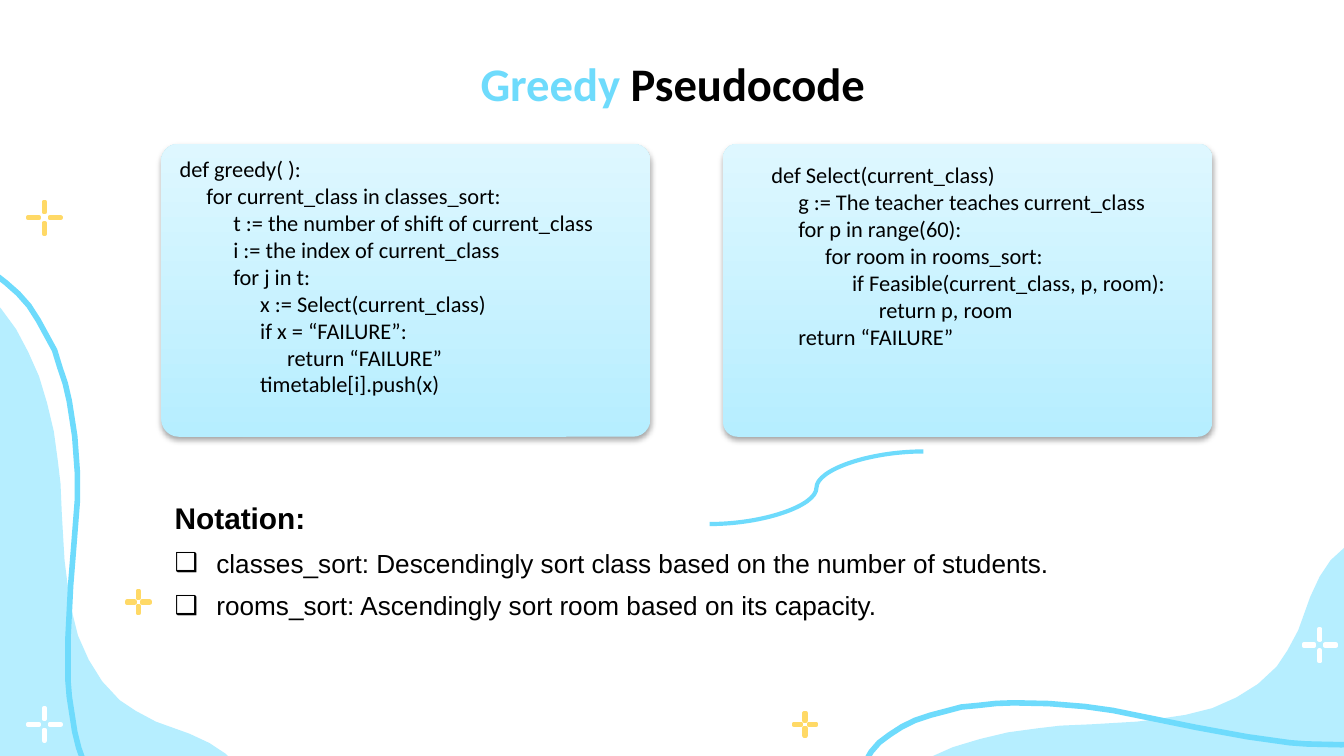
import pptx
import pptx.dml.color
import pptx.enum.dml
import pptx.enum.shapes
import pptx.enum.text
import pptx.oxml
import pptx.oxml.ns
import pptx.util
from lxml import etree

Inches = pptx.util.Inches
Pt = pptx.util.Pt
qn = pptx.oxml.ns.qn
SHAPES = pptx.enum.shapes.MSO_SHAPE

COLORS = {
    "black": "000000",
    "white": "FFFFFF",
    "sky": "6EDBFC",
    "pale": "B6EEFF",
    "mist": "DEF7FF",
    "gold": "FFD966",
}

BLOB_SIZE = (6.5, 3.36)
BLOB_POINTS = [
    (5.4, 0), (5.74, 0.02), (6.06, 0.07), (6.22, 0.11), (6.32, 0.15), (6.41, 0.21),
    (6.47, 0.28), (6.5, 0.36), (6.5, 0.47), (6.48, 0.64), (6.47, 0.84), (6.44, 1.1),
    (6.41, 1.29), (6.41, 3.36), (0.12, 3.36), (0.07, 3.28), (0.03, 3.16), (0, 3.04),
    (0, 2.91), (0.02, 2.79), (0.06, 2.67), (0.12, 2.55), (0.2, 2.44), (0.25, 2.38),
    (0.38, 2.27), (0.53, 2.16), (0.7, 2.07), (0.88, 1.99), (1.08, 1.93), (1.29, 1.88),
    (1.51, 1.85), (1.68, 1.83), (1.91, 1.82), (2.25, 1.8), (2.41, 1.78), (2.61, 1.75),
    (2.81, 1.7), (2.99, 1.62), (3.15, 1.52), (3.29, 1.39), (3.37, 1.27), (3.45, 1.12),
    (3.54, 0.87), (3.61, 0.72), (3.69, 0.6), (3.81, 0.49), (3.9, 0.42), (4.14, 0.28),
    (4.42, 0.16), (4.73, 0.08), (5.06, 0.03),
]
WAVE_POINTS = [
    (0.76, 3.56), (0.76, 3.45), (0.72, 3.35), (0.64, 3.22), (0.51, 3.05), (0.32, 2.8),
    (0.23, 2.66), (0.15, 2.53), (0.08, 2.39), (0.02, 2.2), (0, 2), (0.03, 1.8),
    (0.06, 1.7), (0.11, 1.6), (0.18, 1.51), (0.26, 1.42), (0.35, 1.34), (0.46, 1.27),
    (0.57, 1.21), (0.68, 1.15), (0.81, 1.11), (0.93, 1.07), (1.06, 1.04), (1.19, 1.02),
    (1.32, 1), (1.59, 0.98), (1.8, 0.98), (2.18, 1.01), (2.43, 1.03), (2.82, 1.05),
    (3.14, 1.05), (3.26, 1.04), (3.39, 1.02), (3.52, 1), (3.64, 0.97), (3.81, 0.91),
    (3.93, 0.86), (4.07, 0.77), (4.19, 0.68), (4.3, 0.56), (4.4, 0.44), (4.47, 0.31),
    (4.52, 0.18), (4.55, 0),
]

GREEDY_CODE = [
    (0, "def greedy( ):"),
    (1, "for current_class in classes_sort:"),
    (2, "t := the number of shift of current_class"),
    (2, "i := the index of current_class"),
    (2, "for j in t:"),
    (3, "x := Select(current_class)"),
    (3, "if x = “FAILURE”:"),
    (4, "return “FAILURE”"),
    (3, "timetable[i].push(x)"),
]
SELECT_CODE = [
    (0, "def Select(current_class)"),
    (1, "g := The teacher teaches current_class"),
    (1, "for p in range(60):"),
    (2, "for room in rooms_sort:"),
    (3, "if Feasible(current_class, p, room):"),
    (4, "return p, room"),
    (1, "return “FAILURE”"),
]
NOTATION = [
    "classes_sort: Descendingly sort class based on the number of students.",
    "rooms_sort: Ascendingly sort room based on its capacity.",
]


def color(name):
    return pptx.dml.color.RGBColor.from_string(COLORS[name])


def place(shape, left, top, width, height):
    shape.left, shape.top = Inches(left), Inches(top)
    shape.width, shape.height = Inches(width), Inches(height)


def format_run(run, font, size, name="black", bold=False):
    run.font.name, run.font.size, run.font.bold = font, Pt(size), bold
    run.font.color.rgb = color(name)


def indent(paragraph, margin, first_line=0.0):
    properties = paragraph._p.get_or_add_pPr()
    properties.set("marL", str(Inches(margin)))
    properties.set("indent", str(Inches(first_line)))
    return properties


def add_outline(slide, points, box, rotation, closed):
    """Draw a polyline stretched to box (left, top, width, height)."""
    vertices = [(Inches(x), Inches(y)) for x, y in points]
    builder = slide.shapes.build_freeform(*vertices[0])
    builder.add_line_segments(vertices[1:], close=closed)
    shape = builder.convert_to_shape()
    place(shape, *box)
    shape.rotation = rotation
    shape.shadow.inherit = False
    return shape


def add_blob(slide, left, top, rotation=0):
    shape = add_outline(slide, BLOB_POINTS, (left, top, *BLOB_SIZE), rotation, True)
    shape.fill.solid()
    shape.fill.fore_color.rgb = color("pale")
    shape.line.fill.background()


def add_wave(slide, left, top, height, rotation):
    shape = add_outline(slide, WAVE_POINTS, (left, top, 4.55, height), rotation, False)
    shape.fill.background()
    shape.line.color.rgb = color("sky")
    shape.line.width = Pt(3)


def add_sparkle(slide, x, y, name, scale=1.0):
    """Draw four rounded arms around the centre x, y."""
    group = slide.shapes.add_group_shape()
    length, thickness, offset = 0.08 * scale, 0.01, 0.08 * scale
    for dx, dy in [(0, -1), (0, 1), (1, 0), (-1, 0)]:
        width, height = (length, thickness) if dx else (thickness, length)
        arm = group.shapes.add_shape(
            SHAPES.RECTANGLE,
            Inches(x + dx * offset - width / 2), Inches(y + dy * offset - height / 2),
            Inches(width), Inches(height))
        arm.shadow.inherit = False
        arm.fill.solid()
        arm.fill.fore_color.rgb = color("white")
        arm.line.color.rgb = color(name)
        arm.line.width = Pt(2.25)
        etree.SubElement(arm.line._get_or_add_ln(), qn("a:round"))


def add_curve(slide, start, end):
    curve = slide.shapes.add_connector(
        pptx.enum.shapes.MSO_CONNECTOR.CURVE, *map(Inches, start + end))
    curve.line.color.rgb = color("sky")
    curve.line.width = Pt(2.25)
    etree.SubElement(curve._element.spPr, qn("a:effectLst"))


def add_soft_shadow(shape):
    shape.shadow.inherit = False
    effects = shape._element.spPr.find(qn("a:effectLst"))
    shadow = etree.SubElement(
        effects, qn("a:outerShdw"), blurRad=str(Pt(3.1)), dist=str(Pt(1.8)),
        dir="5400000", algn="t", rotWithShape="0")
    tint = etree.SubElement(shadow, qn("a:srgbClr"), val=COLORS["black"])
    etree.SubElement(tint, qn("a:alpha"), val="35000")


def add_code_card(slide, left, code, corner, top_inset, margin=0.0):
    card = slide.shapes.add_shape(
        SHAPES.ROUNDED_RECTANGLE, Inches(left), Inches(1.07), Inches(3.64), Inches(2.18))
    card.adjustments[0] = corner
    card.fill.gradient()
    card.fill.gradient_angle = 90
    for position, (stop, name) in enumerate(zip(card.fill.gradient_stops, ("pale", "mist"))):
        stop.color.rgb = color(name)
        stop.position = position
    card.line.fill.background()
    add_soft_shadow(card)
    frame = card.text_frame
    frame.word_wrap = True
    frame.vertical_anchor = pptx.enum.text.MSO_ANCHOR.TOP
    frame.margin_left = frame.margin_right = frame.margin_bottom = Inches(0.1)
    frame.margin_top = Inches(top_inset)
    frame.text = "\n".join(line for _, line in code)
    for paragraph, (depth, _) in zip(frame.paragraphs, code):
        paragraph.alignment = pptx.enum.text.PP_ALIGN.LEFT
        indent(paragraph, margin + 0.2 * depth)
        format_run(paragraph.runs[0], "Calibri", 12)


def fill_title(title):
    place(title, 0.79, 0.3, 8.43, 0.63)
    title.text_frame.vertical_anchor = pptx.enum.text.MSO_ANCHOR.MIDDLE
    paragraph = title.text_frame.paragraphs[0]
    paragraph.alignment = pptx.enum.text.PP_ALIGN.CENTER
    for text, name in [("Greedy ", "sky"), ("Pseudocode", "black")]:
        run = paragraph.add_run()
        run.text = text
        format_run(run, "Calibri", 25, name, bold=True)


def fill_notation(body):
    place(body, 1.2, 3.67, 7.73, 1.25)
    frame = body.text_frame
    frame.auto_size = pptx.enum.text.MSO_AUTO_SIZE.SHAPE_TO_FIT_TEXT
    frame.text = "\n".join(["Notation:"] + NOTATION)
    heading, *items = frame.paragraphs
    heading.space_before = Pt(0)
    etree.SubElement(indent(heading, 0), qn("a:buNone"))
    format_run(heading.runs[0], "Arial", 16, bold=True)
    for item in items:
        item.space_before = Pt(6)
        properties = indent(item, 0.31, -0.31)
        bullet_color = etree.SubElement(properties, qn("a:buClr"))
        etree.SubElement(bullet_color, qn("a:srgbClr"), val=COLORS["black"])
        etree.SubElement(properties, qn("a:buChar"), char="❑")
        format_run(item.runs[0], "Arial", 14)


def main():
    presentation = pptx.Presentation()
    presentation.slide_width = Inches(10)
    presentation.slide_height = Inches(10 * 9 / 16)
    slide = presentation.slides.add_slide(presentation.slide_layouts[1])
    add_blob(slide, 6.21, 3.57)
    add_wave(slide, 6.39, 4.59, 2.75, 8)
    add_blob(slide, -2.65, 3.49, 90)
    add_wave(slide, -2.5, 2.42, 3.56, 90)
    add_curve(slide, (5.28, 3.9), (6.87, 3.36))
    for x, y, name, scale in [
            (0.33, 5.39, "white", 1), (0.33, 1.62, "gold", 1), (9.82, 4.8, "white", 1),
            (1.03, 4.48, "gold", 0.7), (5.99, 5.39, "gold", 0.7)]:
        add_sparkle(slide, x, y, name, scale)
    fill_title(slide.shapes.title)
    add_code_card(slide, 1.2, GREEDY_CODE, 0.06, 0.05)
    add_code_card(slide, 5.38, SELECT_CODE, 0.05, 0.1, margin=0.23)
    fill_notation(slide.placeholders[1])
    presentation.save("out.pptx")


if __name__ == "__main__":
    main()
